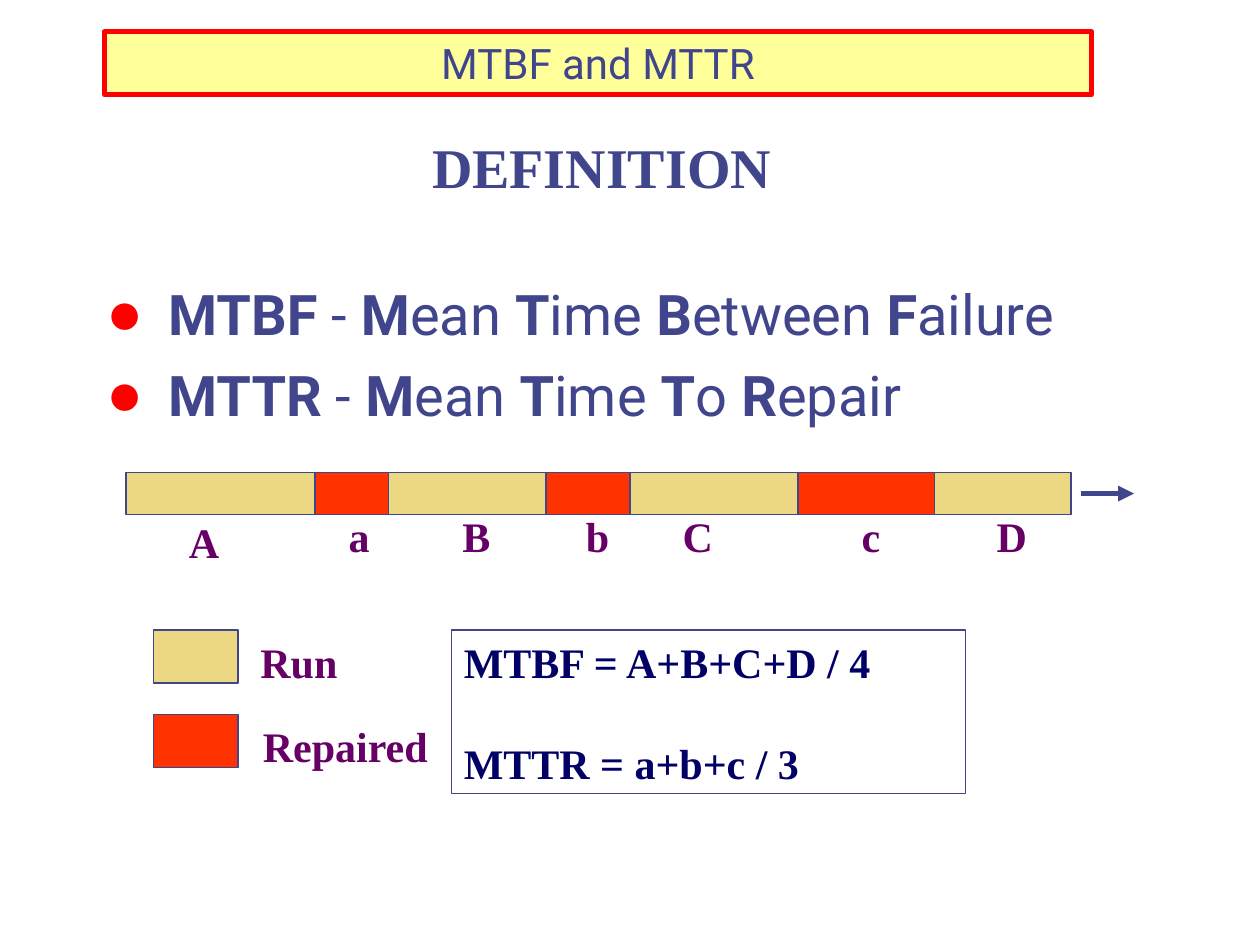
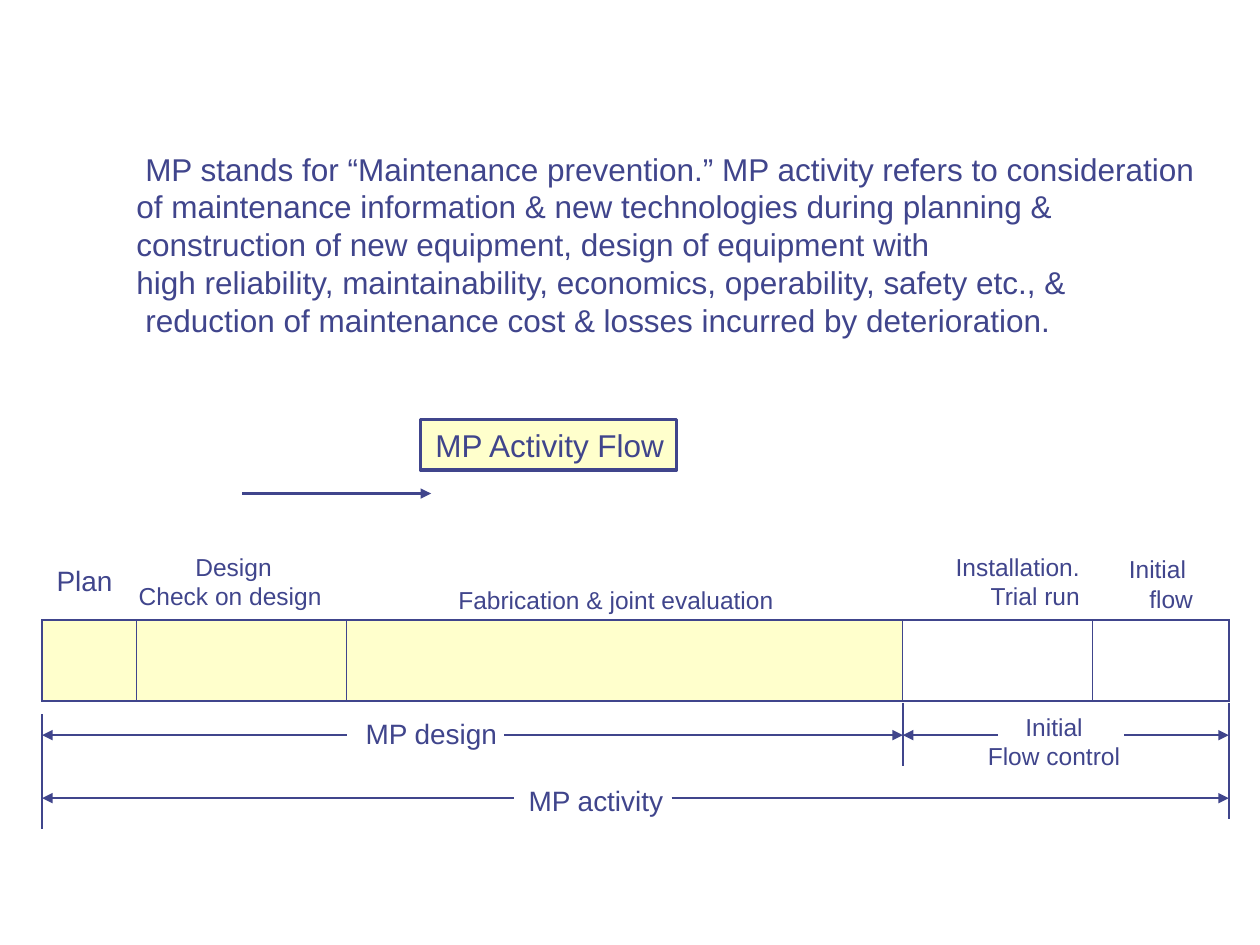
from dataclasses import dataclass
from itertools import pairwise

from lxml import etree
from pptx import Presentation
from pptx.dml.color import RGBColor
from pptx.enum import shapes, text
from pptx.oxml import ns
from pptx.util import Cm, Pt


@dataclass(frozen=True)
class Theme:
    ink: str = "40458C"
    plum: str = "660066"
    navy: str = "000066"
    red: str = "FF0000"
    run: str = "ECD882"
    repair: str = "FF3300"
    banner: str = "FFFF99"
    cream: str = "FFFFCC"
    display: str = "Roboto"
    serif: str = "Times New Roman"
    sans: str = "Arial"
    heading: int = 32
    label: int = 24
    body: int = 18
    stage: int = 16
    small: int = 14


theme = Theme()
LEFT, CENTER, RIGHT = text.PP_ALIGN.LEFT, text.PP_ALIGN.CENTER, text.PP_ALIGN.RIGHT


def add_box(page, place, lines=(), font=theme.sans, size=theme.body, color=theme.ink,
            bold=False, align=LEFT, wrap=False, grow=True, fill=None, border=None, weight=0.75):
    area = [Cm(value) for value in place]
    if border:
        box = page.shapes.add_shape(shapes.MSO_SHAPE.RECTANGLE, *area)
        box.shadow.inherit = False
        box.line.color.rgb = RGBColor.from_string(border)
        box.line.width = Pt(weight)
        if fill:
            box.fill.solid()
            box.fill.fore_color.rgb = RGBColor.from_string(fill)
        else:
            box.fill.background()
    else:
        box = page.shapes.add_textbox(*area)
    if not lines:
        return box
    frame = box.text_frame
    frame.word_wrap = wrap
    frame.vertical_anchor = text.MSO_ANCHOR.TOP
    frame.auto_size = text.MSO_AUTO_SIZE.SHAPE_TO_FIT_TEXT if grow else text.MSO_AUTO_SIZE.NONE
    for number, line in enumerate(lines):
        para = frame.add_paragraph() if number else frame.paragraphs[0]
        para.alignment = align
        for index, piece in enumerate(line.split("|")):
            span = para.add_run()
            span.text = piece
            span.font.name = font
            span.font.size = Pt(size)
            span.font.bold = bold and index % 2 == 0
            span.font.color.rgb = RGBColor.from_string(color)
    return box


def add_line(page, start, end, weight=1, arrow=True):
    line = page.shapes.add_connector(
        shapes.MSO_CONNECTOR.STRAIGHT, *[Cm(value) for value in (*start, *end)])
    line.line.color.rgb = RGBColor.from_string(theme.ink)
    line.line.width = Pt(weight)
    if arrow:
        etree.SubElement(line.line._get_or_add_ln(), ns.qn("a:tailEnd"), type="triangle")
    etree.SubElement(line._element.spPr, ns.qn("a:effectLst"))


deck = Presentation()
deck.slide_width, deck.slide_height = Cm(25.4), Cm(19.05)
blank = deck.slide_layouts[6]

page = deck.slides.add_slide(blank)
terms = add_box(page, (1.9, 5.51, 21.59, 11.43),
                ["MTBF| - |M|ean |T|ime |B|etween |F|ailure",
                 "MTTR| - |M|ean |T|ime |T|o |R|epair"],
                theme.display, theme.heading, bold=True, wrap=True, grow=False)
for number, para in enumerate(terms.text_frame.paragraphs):
    props = para._p.get_or_add_pPr()
    props.set("marL", str(Cm(1.24)))
    props.set("indent", str(-Cm(1.24)))
    bullet_color = etree.SubElement(props, ns.qn("a:buClr"))
    etree.SubElement(bullet_color, ns.qn("a:srgbClr"), val=theme.red)
    etree.SubElement(props, ns.qn("a:buSzPct"), val="110000")
    etree.SubElement(props, ns.qn("a:buFont"), typeface=theme.sans)
    etree.SubElement(props, ns.qn("a:buChar"), char="●")
    if number:
        para.space_before = Pt(8)

period_edges = [2.54, 6.35, 7.83, 11.01, 12.7, 16.09, 18.84, 21.59]
for number, (left, right) in enumerate(pairwise(period_edges)):
    add_box(page, (left, 9.53, right - left, 0.85),
            fill=theme.repair if number % 2 else theme.run, border=theme.ink)

period_labels = [
    ("A", 3.56, 10.29, 1.12), ("a", 6.78, 10.16, 0.91), ("B", 9.07, 10.16, 1.07),
    ("b", 11.56, 10.16, 0.97), ("C", 13.51, 10.16, 1.12), ("c", 17.12, 10.16, 0.89),
    ("D", 19.84, 10.16, 1.12)]
legend = [("Run", 5, 12.7, 2.06, theme.run), ("Repaired", 5.05, 14.4, 3.84, theme.repair)]
for name, left, top, width, fill in legend:
    add_box(page, (3.1, top, 1.7, 1.07), fill=fill, border=theme.ink)
    period_labels.append((name, left, top, width))
for name, left, top, width in period_labels:
    add_box(page, (left, top, width, 1.27), [name], theme.serif, theme.label, theme.plum, bold=True)

add_line(page, (21.8, 9.95), (22.86, 9.95), weight=3)
formulas = add_box(page, (9.1, 12.7, 10.36, 3.3), ["MTBF = A+B+C+D / 4", "MTTR = a+b+c / 3"],
                   theme.serif, theme.label, theme.navy, bold=True, wrap=True, border=theme.ink)
formulas.text_frame.paragraphs[1].space_before = Pt(29)
add_box(page, (8.46, 2.54, 7.6, 1.63), ["DEFINITION"], theme.serif, theme.heading,
        bold=True, wrap=True)
add_box(page, (2.11, 0.64, 19.89, 1.27), ["MTBF and MTTR"], theme.display, theme.label,
        align=CENTER, wrap=True, fill=theme.banner, border=theme.red, weight=3)

page = deck.slides.add_slide(blank)
summary = add_box(page, (2.5, 2.89, 22.25, 4.06), [
    "MP stands for “Maintenance prevention.” MP activity refers to consideration",
    "of maintenance information & new technologies during planning &",
    "construction of new equipment, design of equipment with",
    "high reliability, maintainability, economics, operability, safety etc., &",
    "reduction of maintenance cost & losses incurred by deterioration."], wrap=True)
for number in (0, 4):
    summary.text_frame.paragraphs[number]._p.get_or_add_pPr().set("marL", str(Cm(0.18)))
add_box(page, (8.48, 8.46, 5.16, 1.02), ["MP Activity Flow"], align=RIGHT,
        fill=theme.cream, border=theme.ink, weight=2)

start, split, finish = 0.85, 18.2, 24.77
stage_widths = [1.9, 4.24, 11.21, 3.82, 2.75]
stages = page.shapes.add_table(
    1, len(stage_widths), Cm(start), Cm(12.5), Cm(finish - start), Cm(1.63)).table
stages.first_row = stages.horz_banding = False
stages.rows[0].height = Cm(1.63)
for number, width in enumerate(stage_widths):
    stages.columns[number].width = Cm(width)
    cell = stages.cell(0, number)
    props = cell._tc.get_or_add_tcPr()
    outer_sides = {"T", "B"} | ({"L"} if number == 0 else set())
    if number == len(stage_widths) - 1:
        outer_sides.add("R")
    for side in "LRTB":
        edge = etree.SubElement(props, ns.qn("a:ln" + side),
                                w=str(Pt(1.08 if side in outer_sides else 0.45)))
        paint = etree.SubElement(edge, ns.qn("a:solidFill"))
        etree.SubElement(paint, ns.qn("a:srgbClr"), val=theme.ink)
    if number < 3:
        cell.fill.solid()
        cell.fill.fore_color.rgb = RGBColor.from_string(theme.cream)
    else:
        cell.fill.background()

for x, top, bottom in [(start, 14.4, 16.71), (finish, 14.17, 16.51), (split, 14.17, 15.44)]:
    add_line(page, (x, top), (x, bottom), arrow=False)
for y, tail, head in [(14.82, 10.16, split), (14.82, 6.99, start), (16.09, 13.54, finish),
                      (16.09, 10.36, start), (14.82, 20.12, split), (14.82, 22.66, finish)]:
    add_line(page, (tail, y), (head, y))
add_line(page, (4.88, 9.95), (8.69, 9.95), weight=2)

stage_labels = [
    (["MP design"], (7.09, 14.33, 3.18, 0.91), theme.stage, RIGHT),
    (["MP activity"], (10.39, 15.67, 3.23, 0.91), theme.stage, RIGHT),
    (["Initial", "Flow control"], (19.66, 14.22, 3.18, 1.42), theme.small, CENTER),
    (["Plan"], (0.89, 11.23, 1.63, 0.91), theme.stage, RIGHT),
    (["Design", "Check on design "], (2.54, 11, 4.34, 1.42), theme.small, CENTER),
    (["Fabrication & joint evaluation"], (8.99, 11.66, 6.86, 0.84), theme.small, RIGHT),
    (["Installation.", "Trial run"], (19, 11, 3.02, 1.42), theme.small, RIGHT),
    (["Initial ", "flow"], (22.5, 11.05, 1.8, 1.42), theme.small, RIGHT)]
for lines, place, size, align in stage_labels:
    add_box(page, place, lines, size=size, align=align)

deck.save("out.pptx")
